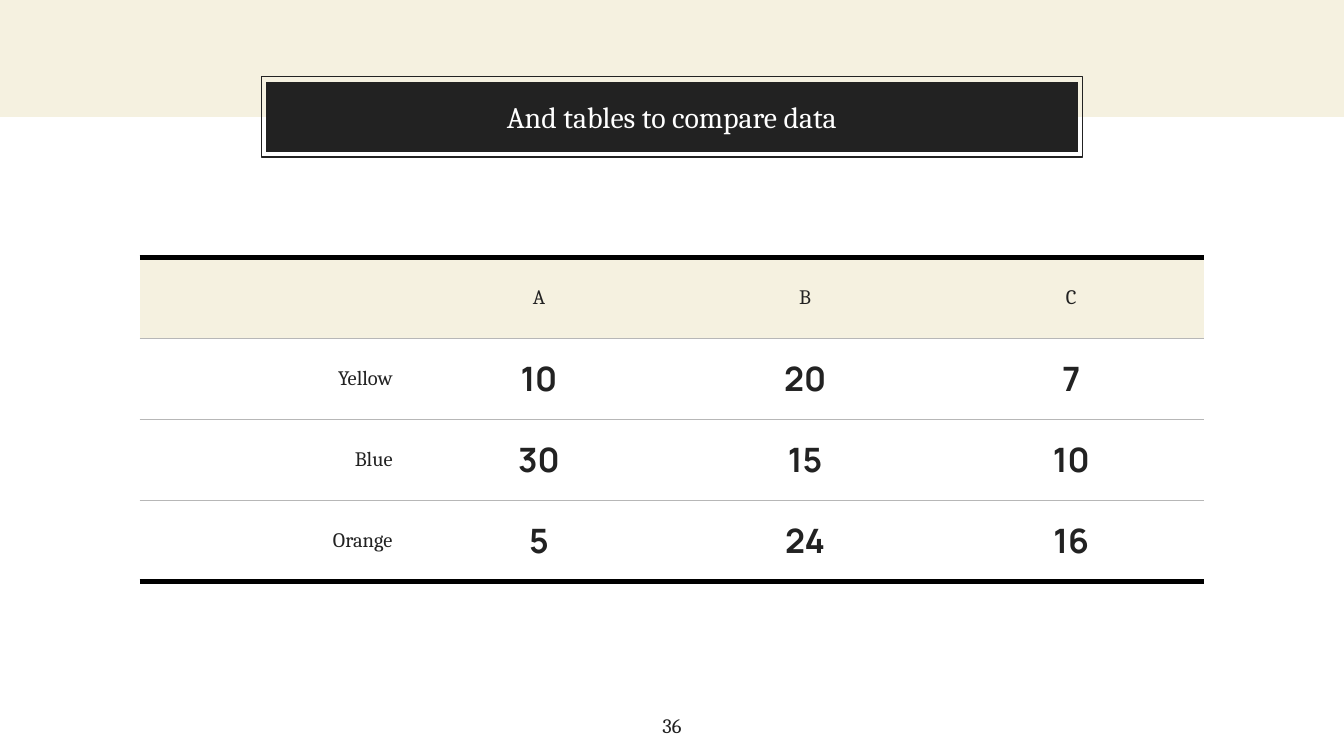
from lxml.etree import SubElement
from pptx import Presentation
from pptx.dml.color import RGBColor
from pptx.enum.shapes import MSO_SHAPE
from pptx.enum.text import MSO_ANCHOR, MSO_AUTO_SIZE, PP_ALIGN
from pptx.oxml.ns import qn
from pptx.util import Cm, Pt

INK, CREAM, GRAY = "222222", "F5F1E0", "B7B7B7"
SERIF, SANS = "Cambria", "Manrope"


def color(code):
    return RGBColor.from_string(code)


def write(frame, text, size=11, font=SERIF, fill=INK, bold=False,
          align=PP_ALIGN.CENTER):
    para = frame.paragraphs[0]
    para.alignment = align
    para.font.size = Pt(size)
    if text:
        run = para.add_run()
        run.text = text
        run.font.size = Pt(size)
        run.font.name = font
        run.font.bold = bold
        run.font.color.rgb = color(fill)


def border(cell, side, code=None, width=0.75):
    line = SubElement(cell._tc.get_or_add_tcPr(), qn(f"a:ln{side}"))
    if code is None:
        SubElement(line, qn("a:noFill"))
        return
    line.set("w", str(Pt(width)))
    paint = SubElement(line, qn("a:solidFill"))
    SubElement(paint, qn("a:srgbClr")).set("val", code)


class Deck:
    def __init__(self, width, height):
        self.show = Presentation()
        self.show.slide_width = Cm(width)
        self.show.slide_height = Cm(height)
        self.slide = self.show.slides.add_slide(self.show.slide_layouts[5])

    def rect(self, box, fill=None, line=None):
        shape = self.slide.shapes.add_shape(
            MSO_SHAPE.RECTANGLE, *map(Cm, box))
        shape.shadow.inherit = False
        if fill:
            shape.fill.solid()
            shape.fill.fore_color.rgb = color(fill)
        else:
            shape.fill.background()
        if line:
            shape.line.color.rgb = color(line)
            shape.line.width = Pt(0.75)
        else:
            shape.line.fill.background()

    def inset(self, frame):
        frame.word_wrap = True
        frame.auto_size = MSO_AUTO_SIZE.NONE
        frame.margin_left = frame.margin_right = Cm(0.25)
        frame.margin_top = frame.margin_bottom = Cm(0.25)

    def title(self, text, box):
        shape = self.slide.shapes.title
        shape.left, shape.top, shape.width, shape.height = map(Cm, box)
        shape.fill.solid()
        shape.fill.fore_color.rgb = color(INK)
        self.inset(shape.text_frame)
        shape.text_frame.vertical_anchor = MSO_ANCHOR.MIDDLE
        write(shape.text_frame, text, size=16, fill="FFFFFF")
        # Keep the title in front of the frame
        self.slide.shapes._spTree.append(shape._element)

    def label(self, text, box):
        frame = self.slide.shapes.add_textbox(*map(Cm, box)).text_frame
        self.inset(frame)
        write(frame, text)

    def table(self, data, left, top, col, row):
        rows, cols = len(data), len(data[0])
        grid = self.slide.shapes.add_table(
            rows, cols, Cm(left), Cm(top), Cm(col * cols), Cm(row * rows)).table
        grid.first_row = grid.horz_banding = False
        for y, values in enumerate(data):
            for x, text in enumerate(values):
                self.cell(grid.cell(y, x), text, y, x, rows - 1)

    def cell(self, cell, text, y, x, last):
        cell.vertical_anchor = MSO_ANCHOR.MIDDLE
        cell.margin_left = cell.margin_right = Cm(0.25)
        cell.margin_top = cell.margin_bottom = Cm(0.18)
        # Thick rules outside, thin rules between rows
        thick, thin = ("000000", 3), (GRAY, 0.75)
        border(cell, "L")
        border(cell, "R")
        border(cell, "T", *(thick if y == 0 else thin))
        border(cell, "B", *(thick if y == last else thin))
        if y == 0:
            cell.fill.solid()
            cell.fill.fore_color.rgb = color(CREAM)
        else:
            cell.fill.background()
        if y and x:
            write(cell.text_frame, text, size=18, font=SANS, bold=True)
        else:
            side = PP_ALIGN.CENTER if x else PP_ALIGN.RIGHT
            write(cell.text_frame, text, align=side)


def main():
    deck = Deck(25.4, 14.29)

    # Top band and framed title
    deck.rect((0, 0, 25.4, 2.21), fill=CREAM)
    deck.rect((4.94, 1.45, 15.52, 1.52), line=INK)
    deck.title("And tables to compare data", (5.03, 1.55, 15.34, 1.32))

    # Comparison table
    data = [
        ["", "A", "B", "C"],
        ["Yellow", "10", "20", "7"],
        ["Blue", "30", "15", "10"],
        ["Orange", "5", "24", "16"],
    ]
    deck.table(data, 2.64, 4.87, col=5.03, row=1.53)

    # Page number
    deck.label("36", (11.94, 13.23, 1.52, 0.84))

    deck.show.save("out.pptx")


if __name__ == "__main__":
    main()
